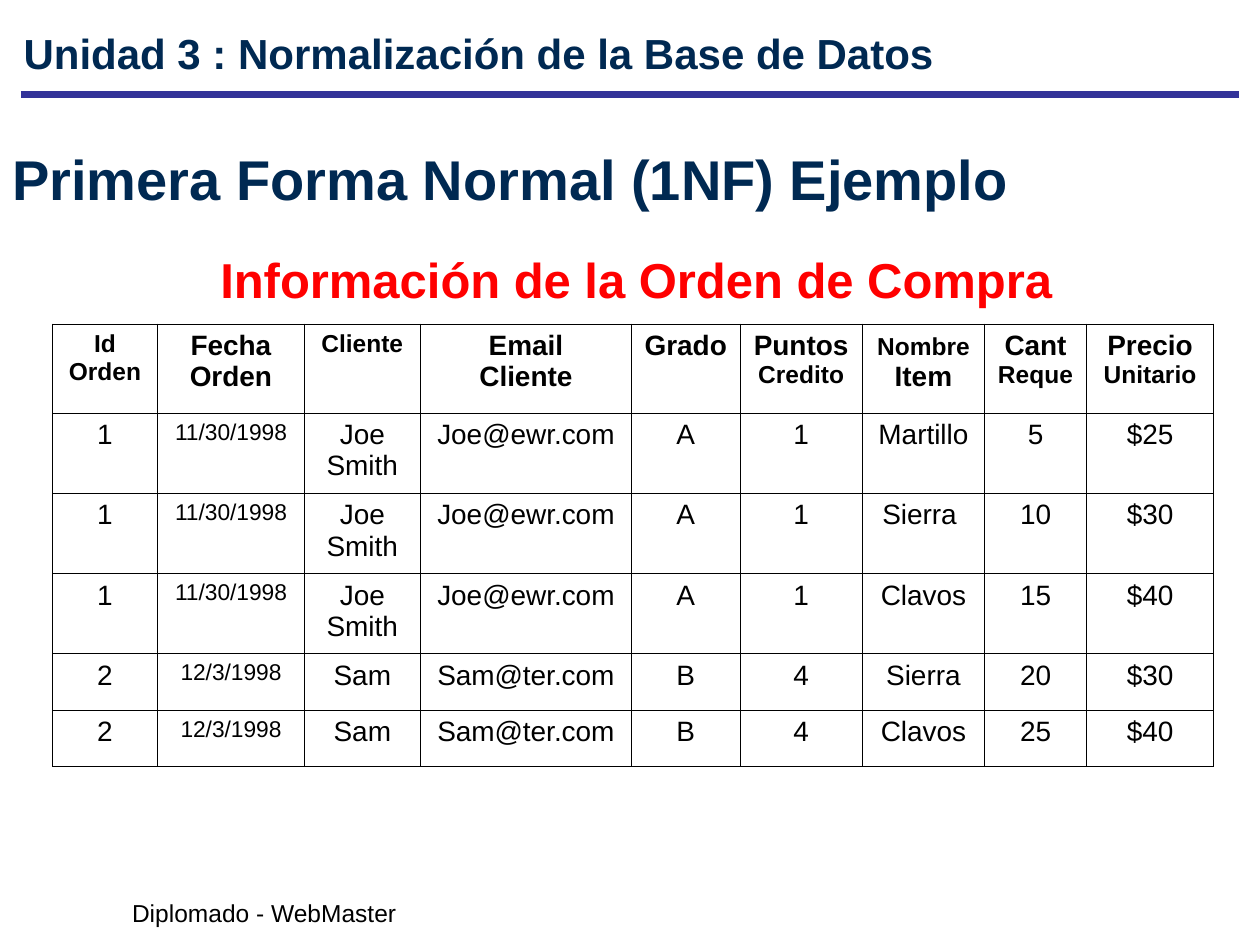
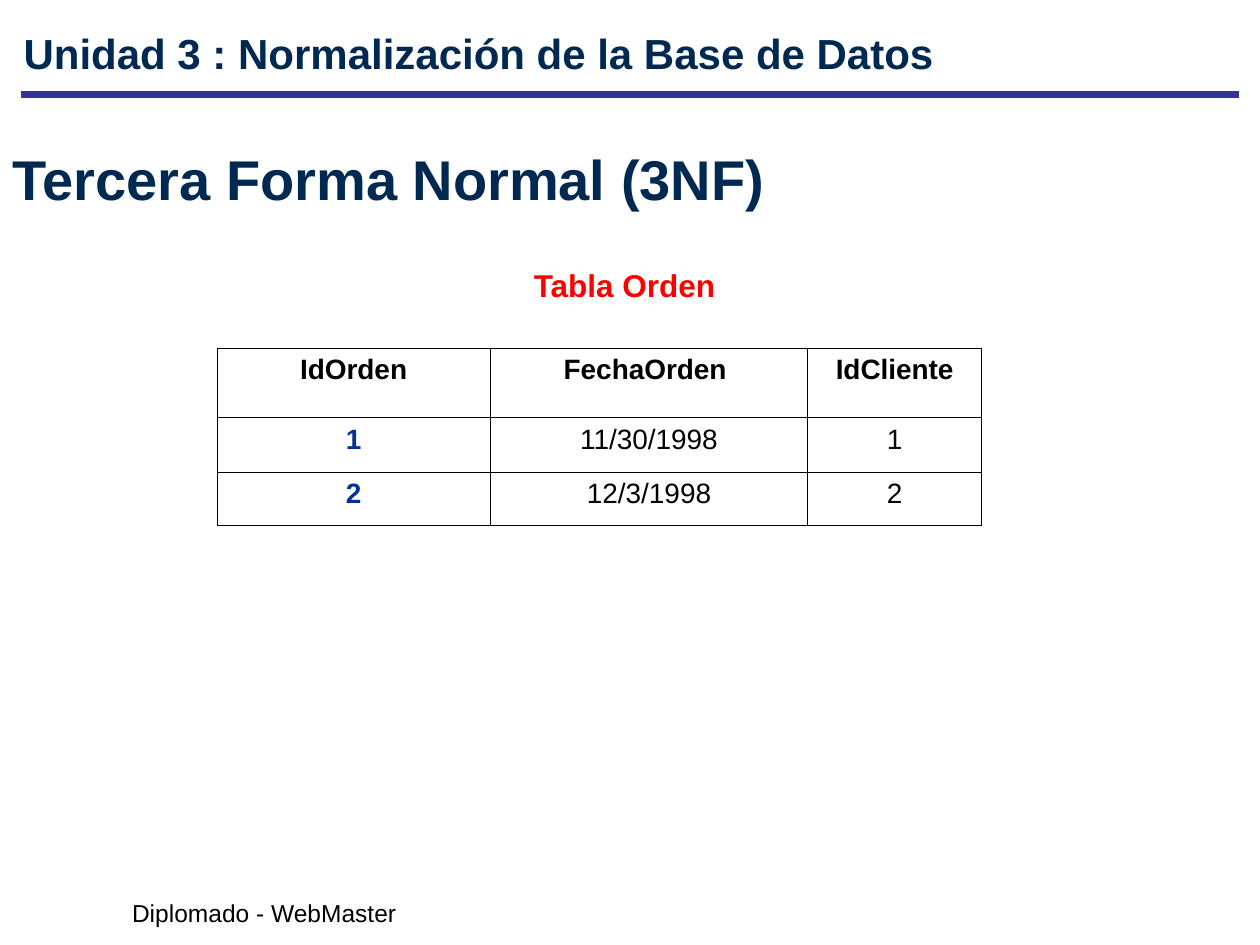
from lxml.etree import SubElement as Sub
from pptx import Presentation
from pptx.dml.color import RGBColor as RGB
from pptx.enum.shapes import MSO_CONNECTOR as Link
from pptx.enum.text import MSO_ANCHOR as Anchor, MSO_AUTO_SIZE as Auto, PP_ALIGN as Align
from pptx.oxml.ns import qn
from pptx.util import Pt

BLACK = RGB(0x00, 0x00, 0x00)
NAVY = RGB(0x00, 0x29, 0x52)
RED = RGB(0xFF, 0x00, 0x00)
BLUE = RGB(0x00, 0x33, 0x99)
INDIGO = RGB(0x33, 0x33, 0x99)
FONT = "Arial"
UNIT = "Unidad 3 : Normalización de la Base de Datos"
FOOT = "Diplomado - WebMaster"

JOE = ["Joe Smith", "Joe@ewr.com", "A", "1"]
SAM = ["Sam", "Sam@ter.com", "B", "4"]
SALES = [
    [[[("Id", 14)], [("Orden", 14)]],
     "Fecha Orden",
     [[("Cliente", 14)]],
     ["Email", "Cliente"],
     "Grado",
     ["Puntos", [("Credito", 14)]],
     [[("Nombre", 14), " "], "Item"],
     [["Cant ", ("Reque", 14)]],
     [["Precio ", ("Unitario", 14)]]],
    ["1", "11/30/1998", *JOE, "Martillo ", "5", "$25"],
    ["1", "11/30/1998", *JOE, "Sierra ", "10", "$30"],
    ["1", "11/30/1998", *JOE, "Clavos", "15", "$40"],
    ["2", "12/3/1998", *SAM, "Sierra", "20", "$30"],
    ["2", "12/3/1998", *SAM, "Clavos", "25", "$40"],
]
ORDERS = [
    ["IdOrden", "FechaOrden ", "IdCliente"],
    ["1", "11/30/1998", "1"],
    ["2", "12/3/1998", "2"],
]


def write(frame, text, size=16, color=BLACK, bold=False, align=Align.LEFT):
    """Write a string, or a list of paragraphs made of runs, into a text frame."""
    paras = [text] if isinstance(text, str) else text
    for n, runs in enumerate(paras):
        para = frame.add_paragraph() if n else frame.paragraphs[0]
        para.alignment = align
        for item in [runs] if isinstance(runs, str) else runs:
            words, pts = (item, size) if isinstance(item, str) else item
            run = para.add_run()
            run.text = words
            font = run.font
            font.name, font.size, font.bold = FONT, Pt(pts), bold
            font.color.rgb = color


class Deck:
    """Hold the deck style and the current slide."""

    def __init__(self):
        self.prs = Presentation()
        self.prs.slide_width, self.prs.slide_height = Pt(720), Pt(540)
        self.slide = None

    def page(self, title):
        """Start a slide with its rule, unit name, title and footer."""
        self.slide = self.prs.slides.add_slide(self.prs.slide_layouts[6])
        self.rule(12, 54, 708)
        self.label(FOOT, 68.4, 509.8, 165.6, 24.5, wrap=False, size=14, align=Align.JUSTIFY)
        self.label(UNIT, 6.4, 12.2, 569.6, 41.8, size=24, color=NAVY, bold=True)
        self.label(title, 0, 84, 612, 36, anchor=Anchor.MIDDLE, size=32, color=NAVY, bold=True)

    def rule(self, left, top, right):
        """Draw the heavy line under the unit name."""
        line = self.slide.shapes.add_connector(
            Link.STRAIGHT, Pt(left), Pt(top), Pt(right), Pt(top))
        line.line.color.rgb = INDIGO
        line.line.width = Pt(4.5)
        Sub(line._element.spPr, qn("a:effectLst"))

    def label(self, text, left, top, width, height, wrap=True, anchor=Anchor.TOP, **form):
        """Place a text box."""
        box = self.slide.shapes.add_textbox(Pt(left), Pt(top), Pt(width), Pt(height))
        frame = box.text_frame
        frame.word_wrap = wrap
        frame.auto_size = Auto.NONE if wrap else Auto.SHAPE_TO_FIT_TEXT
        frame.vertical_anchor = anchor
        write(frame, text, **form)

    def border(self, cell):
        """Give a cell thin black edges and no fill."""
        props = cell._tc.get_or_add_tcPr()
        for side in "LRTB":
            edge = Sub(props, qn(f"a:ln{side}"), w=str(Pt(0.45)))
            Sub(Sub(edge, qn("a:solidFill")), qn("a:srgbClr"), val=str(BLACK))
        cell.fill.background()

    def table(self, rows, left, top, widths, heights, forms):
        """Place a grid with a bold head; forms maps a column to its body format."""
        grid = self.slide.shapes.add_table(
            len(rows), len(widths), Pt(left), Pt(top),
            Pt(sum(widths)), Pt(sum(heights))).table
        grid.horz_banding = False
        for col, width in zip(grid.columns, widths):
            col.width = Pt(width)
        for row, height in zip(grid.rows, heights):
            row.height = Pt(height)
        for r, row in enumerate(rows):
            for c, text in enumerate(row):
                cell = grid.cell(r, c)
                self.border(cell)
                form = forms.get(c, {}) if r else {"bold": True}
                write(cell.text_frame, text, align=Align.CENTER, **form)


def main():
    """Build both slides and save them."""
    deck = Deck()

    deck.page("Primera Forma Normal (1NF) Ejemplo")
    deck.label("Información de la Orden de Compra", 118.8, 139, 489.6, 41,
               wrap=False, size=28, color=RED, bold=True, align=Align.CENTER)
    deck.table(SALES, 30, 185.2, [60, 84, 66.2, 120.8, 61.9, 70, 69.8, 58.3, 72.6],
               [51] + [45.8] * 3 + [32.3] * 2, {1: {"size": 13}})

    deck.page("Tercera Forma Normal (3NF)")
    deck.table(ORDERS, 124, 199, [156.2, 181.4, 99.4], [39.6, 31.4, 30.2],
               {0: {"color": BLUE, "bold": True}})
    deck.label("Tabla Orden", 298, 148.3, 119.5, 28.8,
               wrap=False, size=18, color=RED, bold=True)

    deck.prs.save("out.pptx")


if __name__ == "__main__":
    main()
